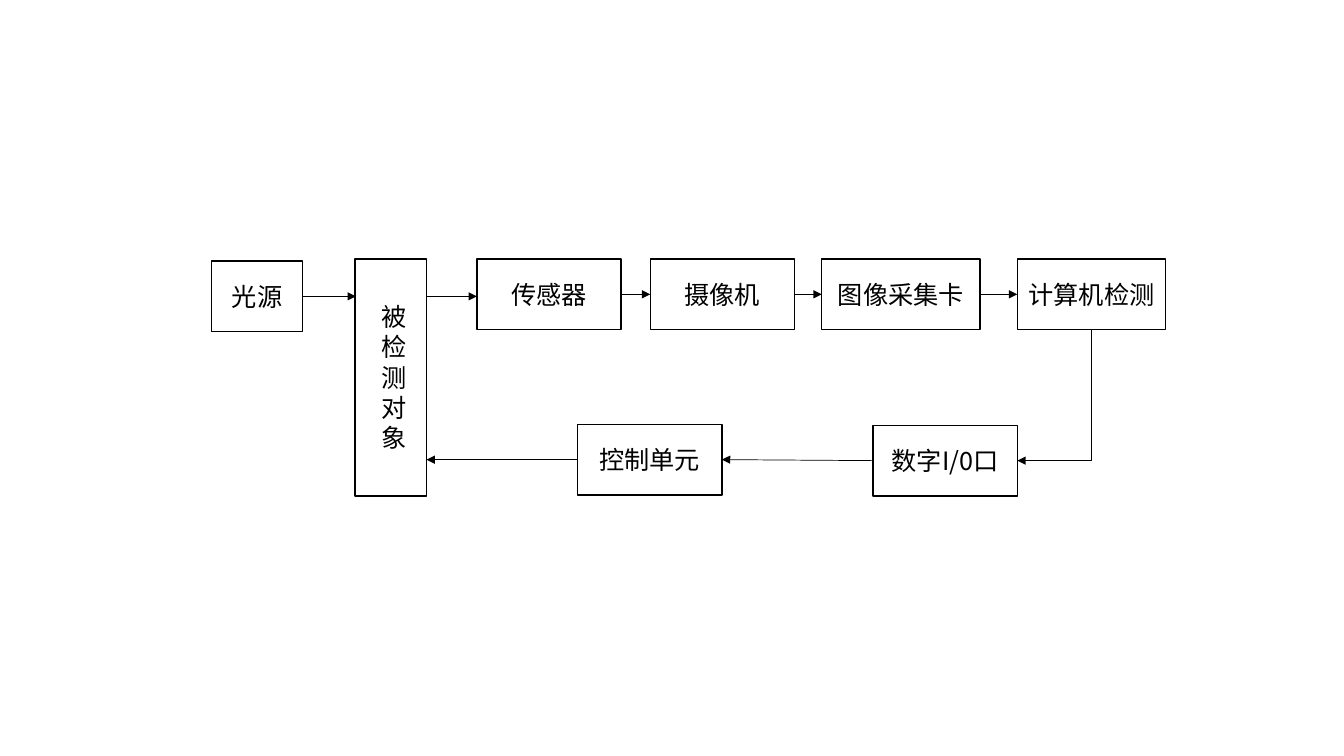
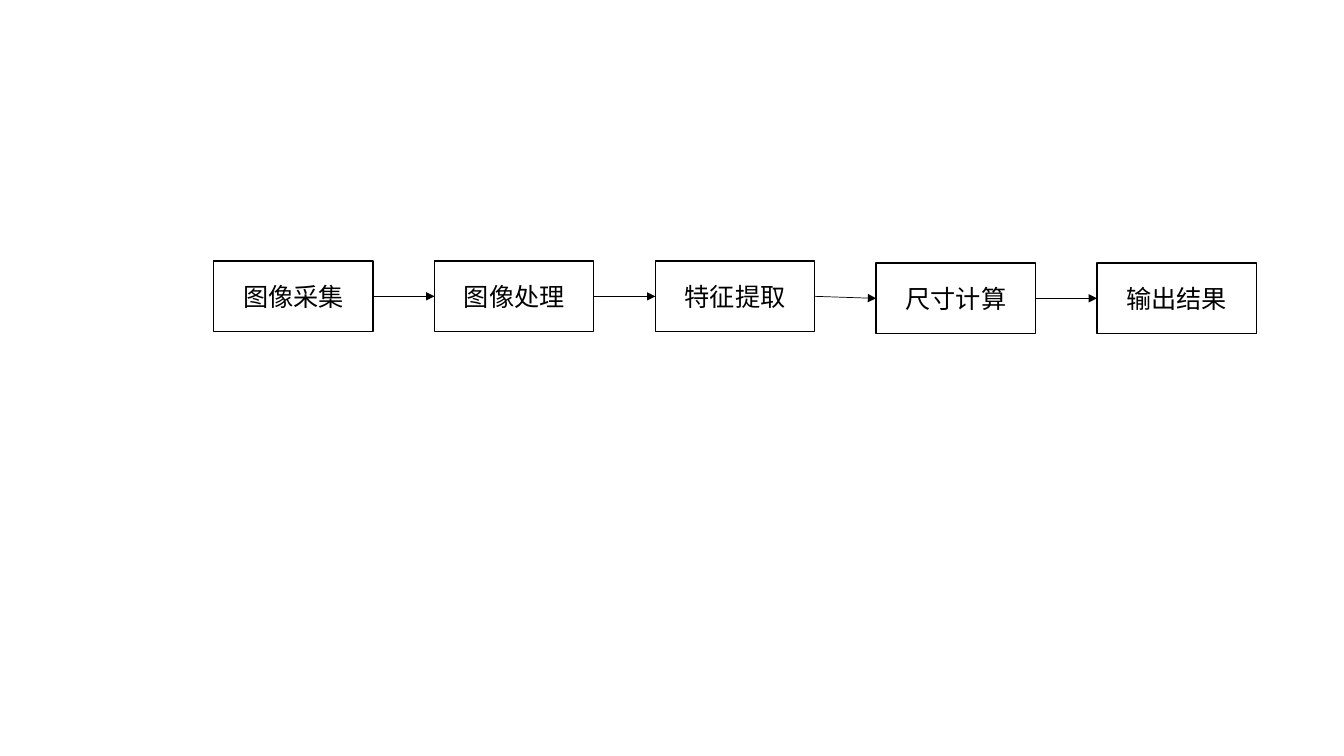
from dataclasses import dataclass
from enum import IntEnum

from lxml.etree import SubElement
from pptx import Presentation
from pptx.dml.color import RGBColor
from pptx.enum.shapes import MSO_CONNECTOR, MSO_SHAPE
from pptx.enum.text import MSO_ANCHOR, MSO_AUTO_SIZE, PP_ALIGN
from pptx.oxml.ns import qn
from pptx.shapes.autoshape import Shape
from pptx.shapes.connector import Connector
from pptx.slide import Slide
from pptx.text.text import TextFrame
from pptx.util import Inches, Pt

# Shared style
COLORS = {"ink": "000000"}
FONT = "Noto Sans CJK SC"
TEXT_SIZE = Pt(18)
BOX_LINE = Pt(1)
ARROW_LINE = Pt(0.5)
BOX_HEIGHT = 0.7


class Side(IntEnum):
    TOP = 0
    LEFT = 1
    BOTTOM = 2
    RIGHT = 3


@dataclass(frozen=True)
class Box:
    label: str
    left: float
    top: float
    width: float
    height: float = BOX_HEIGHT
    kind: MSO_SHAPE = MSO_SHAPE.RECTANGLE


def ink() -> RGBColor:
    return RGBColor.from_string(COLORS["ink"])


def write_text(text_frame: TextFrame, text: str, alignment: PP_ALIGN) -> None:
    text_frame.text = text
    text_frame.word_wrap = True
    paragraph = text_frame.paragraphs[0]
    paragraph.alignment = alignment
    for run in paragraph.runs:
        run.font.size = TEXT_SIZE
        run.font.name = FONT
        run.font.color.rgb = ink()
        east_asian = SubElement(run.font._element, qn("a:ea"))
        east_asian.set("typeface", FONT)


def add_box(slide: Slide, box: Box) -> Shape:
    shape = slide.shapes.add_shape(
        box.kind, Inches(box.left), Inches(box.top), Inches(box.width), Inches(box.height)
    )
    shape.shadow.inherit = False
    shape.fill.background()
    shape.line.color.rgb = ink()
    shape.line.width = BOX_LINE
    if box.label:
        shape.text_frame.vertical_anchor = MSO_ANCHOR.MIDDLE
        write_text(shape.text_frame, box.label, PP_ALIGN.CENTER)
    return shape


def add_arrow(slide: Slide, start_x: float, start_y: float, end_x: float, end_y: float) -> Connector:
    connector = slide.shapes.add_connector(
        MSO_CONNECTOR.STRAIGHT, Inches(start_x), Inches(start_y), Inches(end_x), Inches(end_y)
    )
    connector.line.color.rgb = ink()
    connector.line.width = ARROW_LINE
    SubElement(connector.line._get_or_add_ln(), qn("a:tailEnd")).set("type", "triangle")
    SubElement(connector._element.spPr, qn("a:effectLst"))
    return connector


def link(slide: Slide, source: Shape, target: Shape,
         source_side: Side = Side.RIGHT, target_side: Side = Side.LEFT) -> Connector:
    connector = add_arrow(slide, 0, 0, 1, 1)
    connector.begin_connect(source, source_side)
    connector.end_connect(target, target_side)
    return connector


def bend_down_left(connector: Connector) -> None:
    """Turn a glued arrow into one that runs down and then left."""
    center_x = connector.left + connector.width // 2
    center_y = connector.top + connector.height // 2
    width, height = connector.height, connector.width
    connector.left, connector.top = center_x - width // 2, center_y - height // 2
    connector.width, connector.height = width, height
    properties = connector._element.spPr
    transform = properties.find(qn("a:xfrm"))
    transform.attrib.pop("flipH", None)
    transform.set("rot", "5400000")
    properties.find(qn("a:prstGeom")).set("prst", "bentConnector2")


def build_system_slide(slide: Slide) -> None:
    # Boxes
    add_box(slide, Box("光源", 2.1, 2.59, 0.9))
    row_top = 2.57
    sensor, camera, capture_card, computer = [
        add_box(slide, Box(label, left, row_top, width))
        for label, left, width in (
            ("传感器", 4.73, 1.43),
            ("摄像机", 6.45, 1.43),
            ("图像采集卡", 8.15, 1.57),
            ("计算机检测", 10.09, 1.47),
        )
    ]
    digital_port = add_box(slide, Box("数字I/0口", 8.66, 4.22, 1.43))
    control_unit = add_box(slide, Box("控制单元", 5.73, 4.21, 1.43))

    # Inspected object with its one-character-wide label
    add_box(slide, Box("", 3.52, row_top, 0.71, 2.35, MSO_SHAPE.FLOWCHART_PROCESS))
    label = slide.shapes.add_textbox(Inches(3.69), Inches(2.94), Inches(0.55), Inches(1.62))
    write_text(label.text_frame, "被检测对象", PP_ALIGN.LEFT)
    label.text_frame.auto_size = MSO_AUTO_SIZE.SHAPE_TO_FIT_TEXT

    # Arrows at the inspected object
    for start_x, end_x, y in ((3, 3.53, 2.94), (4.23, 4.73, 2.94), (5.73, 4.23, 4.56)):
        add_arrow(slide, start_x, y, end_x, y)

    # Arrows between boxes
    for source, target in ((sensor, camera), (camera, capture_card), (capture_card, computer)):
        link(slide, source, target)
    bend_down_left(link(slide, computer, digital_port, Side.BOTTOM, Side.RIGHT))
    link(slide, digital_port, control_unit, Side.LEFT, Side.RIGHT)


def build_process_slide(slide: Slide) -> None:
    first_left, pitch, width = 2.12, 2.19, 1.58
    steps = (
        ("图像采集", 2.59),
        ("图像处理", 2.59),
        ("特征提取", 2.59),
        ("尺寸计算", 2.61),
        ("输出结果", 2.61),
    )
    boxes = [
        add_box(slide, Box(label, first_left + index * pitch, top, width))
        for index, (label, top) in enumerate(steps)
    ]
    for source, target in zip(boxes, boxes[1:]):
        link(slide, source, target)


presentation = Presentation()
presentation.slide_width = Inches(13.33)
presentation.slide_height = Inches(7.5)
blank_layout = presentation.slide_layouts[6]
for build_slide in (build_system_slide, build_process_slide):
    build_slide(presentation.slides.add_slide(blank_layout))
presentation.save("out.pptx")
